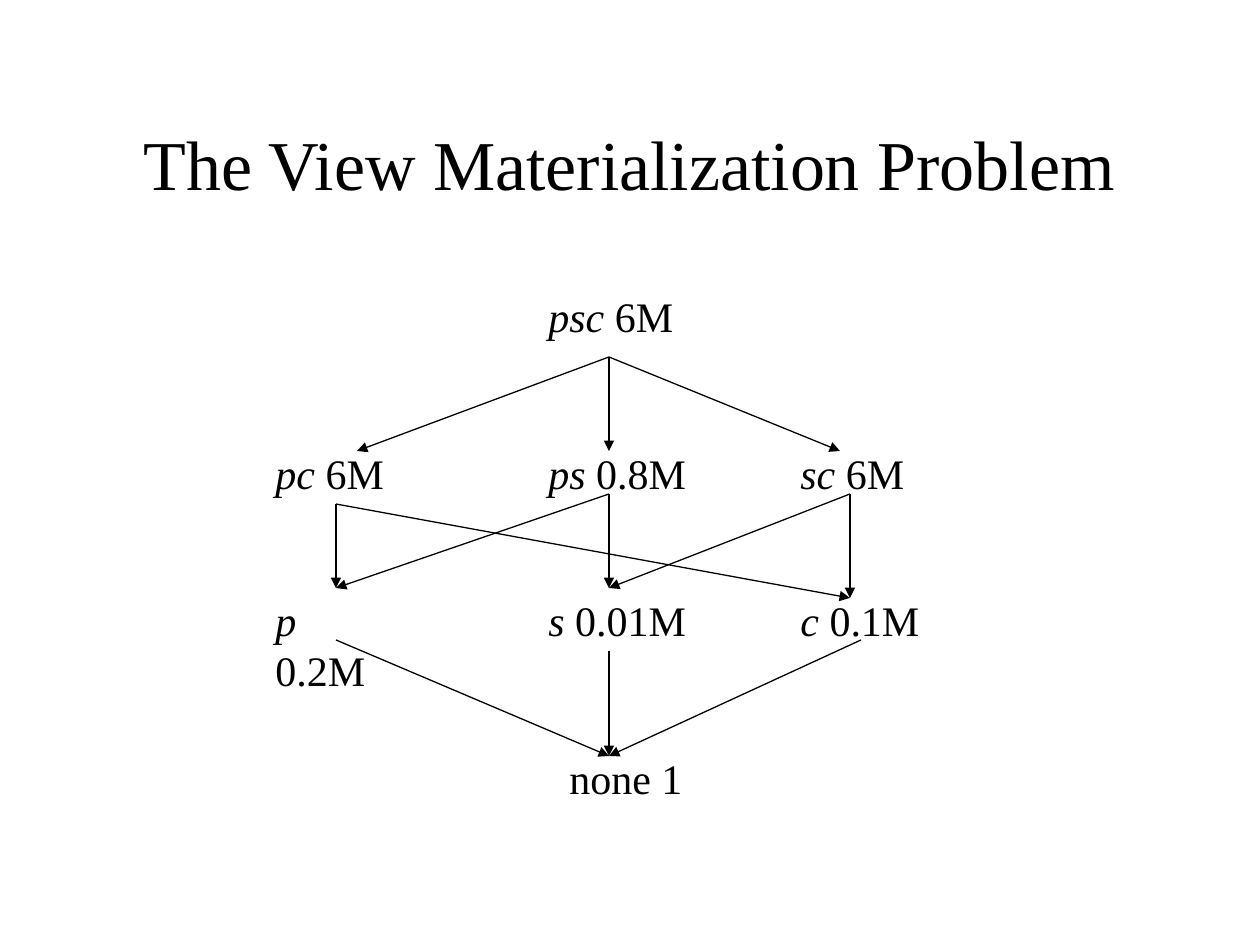
from dataclasses import dataclass

from lxml import etree
from pptx import Presentation, util as u
from pptx.dml.color import RGBColor
from pptx.enum import shapes, text
from pptx.oxml.ns import qn

PX = u.Inches(1) / 126


@dataclass(frozen=True)
class Theme:
    ink: RGBColor = RGBColor(0, 0, 0)
    font: str = "Times New Roman"
    title: int = 40
    label: int = 24
    line: float = 0.75


THEME = Theme()

# Lattice columns and rows: left and top edges of the labels
LEFT, MIDDLE, RIGHT = 263, 536, 788
TOP, PAIRS, SINGLES, BOTTOM = 284, 441, 588, 746
LABEL_HEIGHT = 63

# View name, row count, left, top, width
VIEWS = [
    ("psc", " 6M", MIDDLE, TOP, 150),
    ("ps", " 0.8M", MIDDLE, PAIRS, 163),
    ("pc", " 6M", LEFT, PAIRS, 134),
    ("sc", " 6M", RIGHT, PAIRS, 129),
    ("p", " 0.2M", LEFT, SINGLES, 146),
    ("s", " 0.01M", MIDDLE, SINGLES, 163),
    ("c", " 0.1M", RIGHT, SINGLES, 144),
    ("", "none 1", 557, BOTTOM, 139),
]

# Arrow start points, each with the points it leads to
ARROWS = [
    ((609, 357), [(609, 451), (357, 451), (840, 451)]),
    ((336, 504), [(336, 588), (850, 598)]),
    ((609, 494), [(336, 588), (609, 588)]),
    ((850, 494), [(609, 588), (850, 598)]),
    ((609, 651), [(609, 756)]),
    ((861, 640), [(609, 756)]),
    ((336, 640), [(609, 756)]),
]


def px(*lengths):
    return [round(length * PX) for length in lengths]


def add_text(page, place, spans, size):
    """Add a one-line text box; spans are (words, italic) pairs."""
    box = page.shapes.add_textbox(*px(*place))
    para = box.text_frame.paragraphs[0]
    for words, italic in spans:
        span = para.add_run()
        span.text = words
        span.font.name = THEME.font
        span.font.size = u.Pt(size)
        span.font.italic = italic
        span.font.color.rgb = THEME.ink
    return box.text_frame


def add_title(page, words):
    frame = add_text(page, (94, 84, 1071, 158), [(words, False)], THEME.title)
    frame.word_wrap = True
    frame.vertical_anchor = text.MSO_ANCHOR.MIDDLE
    frame.paragraphs[0].alignment = text.PP_ALIGN.CENTER


def add_view(page, name, count, left, top, width):
    spans = [(name, True), (count, False)] if name else [(count, False)]
    frame = add_text(page, (left, top, width, LABEL_HEIGHT), spans, THEME.label)
    frame.word_wrap = False
    frame.auto_size = text.MSO_AUTO_SIZE.SHAPE_TO_FIT_TEXT


def add_arrow(page, start, end):
    arrow = page.shapes.add_connector(
        shapes.MSO_CONNECTOR.STRAIGHT, *px(*start, *end))
    arrow.line.color.rgb = THEME.ink
    arrow.line.width = u.Pt(THEME.line)
    etree.SubElement(arrow.line._get_or_add_ln(), qn("a:tailEnd"), type="triangle")
    etree.SubElement(arrow._element.spPr, qn("a:effectLst"))


def main():
    deck = Presentation()
    deck.slide_width, deck.slide_height = px(1260, 945)
    page = deck.slides.add_slide(deck.slide_layouts[6])

    add_title(page, "The View Materialization Problem")

    # Lattice of views
    for view in VIEWS:
        add_view(page, *view)

    # Derivations between views
    for start, ends in ARROWS:
        for end in ends:
            add_arrow(page, start, end)

    deck.save("out.pptx")


if __name__ == "__main__":
    main()
